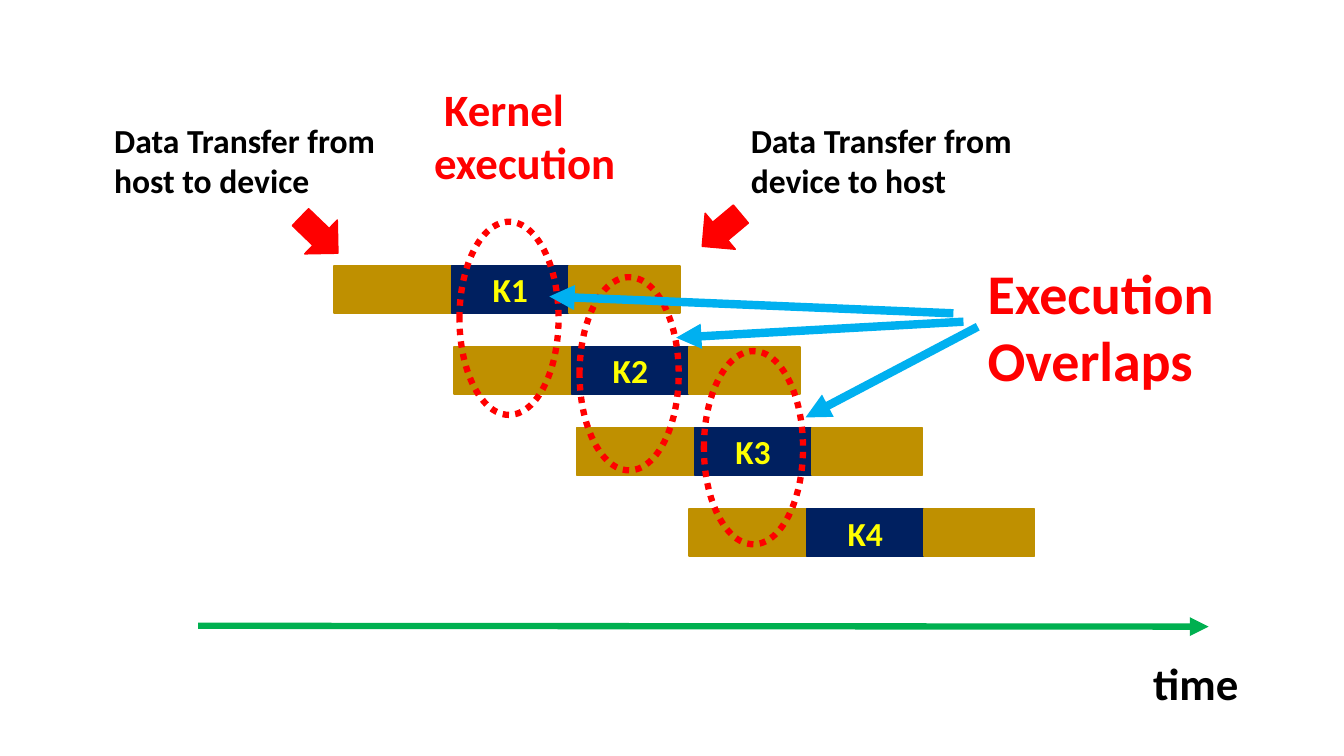
from dataclasses import dataclass

from lxml.etree import SubElement
from pptx import Presentation
from pptx.dml.color import RGBColor
from pptx.enum.dml import MSO_LINE_DASH_STYLE as Dash
from pptx.enum.shapes import MSO_CONNECTOR, MSO_SHAPE as Shape
from pptx.enum.text import MSO_ANCHOR, MSO_AUTO_SIZE, PP_ALIGN
from pptx.oxml.ns import qn
from pptx.util import Inches, Pt

COLS, ROWS = 160, 90
CELL = Inches(1) / 12


@dataclass(frozen=True)
class Theme:
    font: str = "Calibri"
    transfer: str = "BF9000"
    kernel: str = "002060"
    kernel_text: str = "FFFF00"
    accent: str = "FF0000"
    pointer: str = "00B0F0"
    time: str = "00B050"
    ink: str = "000000"
    body: int = 24
    heading: int = 32
    callout: int = 40


def grid(*cells):
    return [round(c * CELL) for c in cells]


class SlideBuilder:
    """Draws on one slide; all lengths are in grid cells."""

    def __init__(self, slide, theme):
        self.s, self.theme = slide, theme

    def add_text(self, tf, text, size, color):
        tf.word_wrap = True
        p = tf.paragraphs[0]
        r = p.add_run()
        r.text = text
        r.font.name, r.font.size, r.font.bold = self.theme.font, Pt(size), True
        r.font.color.rgb = RGBColor.from_string(color)
        return p

    def label(self, text, box, size, color):
        tf = self.s.shapes.add_textbox(*grid(*box)).text_frame
        self.add_text(tf, text, size, color)
        tf.auto_size = MSO_AUTO_SIZE.SHAPE_TO_FIT_TEXT

    def block(self, kind, box, color, angle=0):
        sp = self.s.shapes.add_shape(kind, *grid(*box))
        sp.shadow.inherit = False
        sp.rotation = angle
        sp.fill.solid()
        sp.fill.fore_color.rgb = RGBColor.from_string(color)
        sp.line.color.rgb = RGBColor.from_string(color)
        sp.line.width = Pt(1)
        return sp

    def kernel(self, name, box):
        tf = self.block(Shape.RECTANGLE, box, self.theme.kernel).text_frame
        tf.vertical_anchor = MSO_ANCHOR.MIDDLE
        p = self.add_text(tf, name, self.theme.body, self.theme.kernel_text)
        p.alignment = PP_ALIGN.CENTER

    def pipeline(self, name, left, top):
        """Transfer in, kernel, transfer out, side by side."""
        step, last, height = 14, 13.2, 5.6
        self.block(Shape.RECTANGLE, (left, top, step, height), self.theme.transfer)
        self.kernel(name, (left + step, top, step, height))
        self.block(Shape.RECTANGLE, (left + 2 * step, top, last, height),
                   self.theme.transfer)

    def overlap_ring(self, left, top):
        sp = self.block(Shape.OVAL, (left, top, 11.8, 23), self.theme.accent)
        sp.fill.background()
        sp.line.width = Pt(4.5)
        sp.line.dash_style = Dash.ROUND_DOT

    def arrow(self, start, end, color, width):
        cx = self.s.shapes.add_connector(MSO_CONNECTOR.STRAIGHT, *grid(*start, *end))
        cx.line.color.rgb = RGBColor.from_string(color)
        cx.line.width = Pt(width)
        spPr = cx._element.spPr
        SubElement(spPr.find(qn("a:ln")), qn("a:tailEnd"), type="triangle")
        SubElement(spPr, qn("a:effectLst"))


def main():
    prs = Presentation()
    prs.slide_width, prs.slide_height = grid(COLS, ROWS)
    theme = Theme()
    b = SlideBuilder(prs.slides.add_slide(prs.slide_layouts[6]), theme)

    for i, left in enumerate((39.75, 54.05, 68.65, 82)):
        b.pipeline(f"K{i + 1}", left, 31.65 + 9.65 * i)

    b.arrow((23.6, 74.5), (143.9, 74.6), theme.time, 4.5)
    b.label("time", (136.1, 77.5, 13.1, 7.7), theme.heading, theme.ink)

    for text, left in (("Data Transfer from host to device", 12.4),
                       ("Data Transfer from device to host", 88.2)):
        b.label(text, (left, 13.7, 34.9, 10.9), theme.body, theme.ink)
    b.block(Shape.RIGHT_ARROW, (34.9, 25.2, 6.2, 5.6), theme.accent, 43.9)
    b.block(Shape.RIGHT_ARROW, (82.9, 24.6, 6, 5.6), theme.accent, 140.1)
    b.label(" Kernel execution", (50.5, 9.1, 31.4, 14.2), theme.heading, theme.accent)

    for left, top in ((54.7, 26.4), (69, 33), (83.8, 41.8)):
        b.overlap_ring(left, top)
    for start, end in (((116.4, 38.9), (95.9, 49.7)),
                       ((113.5, 37.3), (65.4, 35.3)),
                       ((114.7, 38.3), (80.5, 40.2))):
        b.arrow(start, end, theme.pointer, 6)
    b.label("Execution Overlaps", (116.4, 30.2, 30.4, 17.4),
            theme.callout, theme.accent)

    prs.save("out.pptx")


if __name__ == "__main__":
    main()
